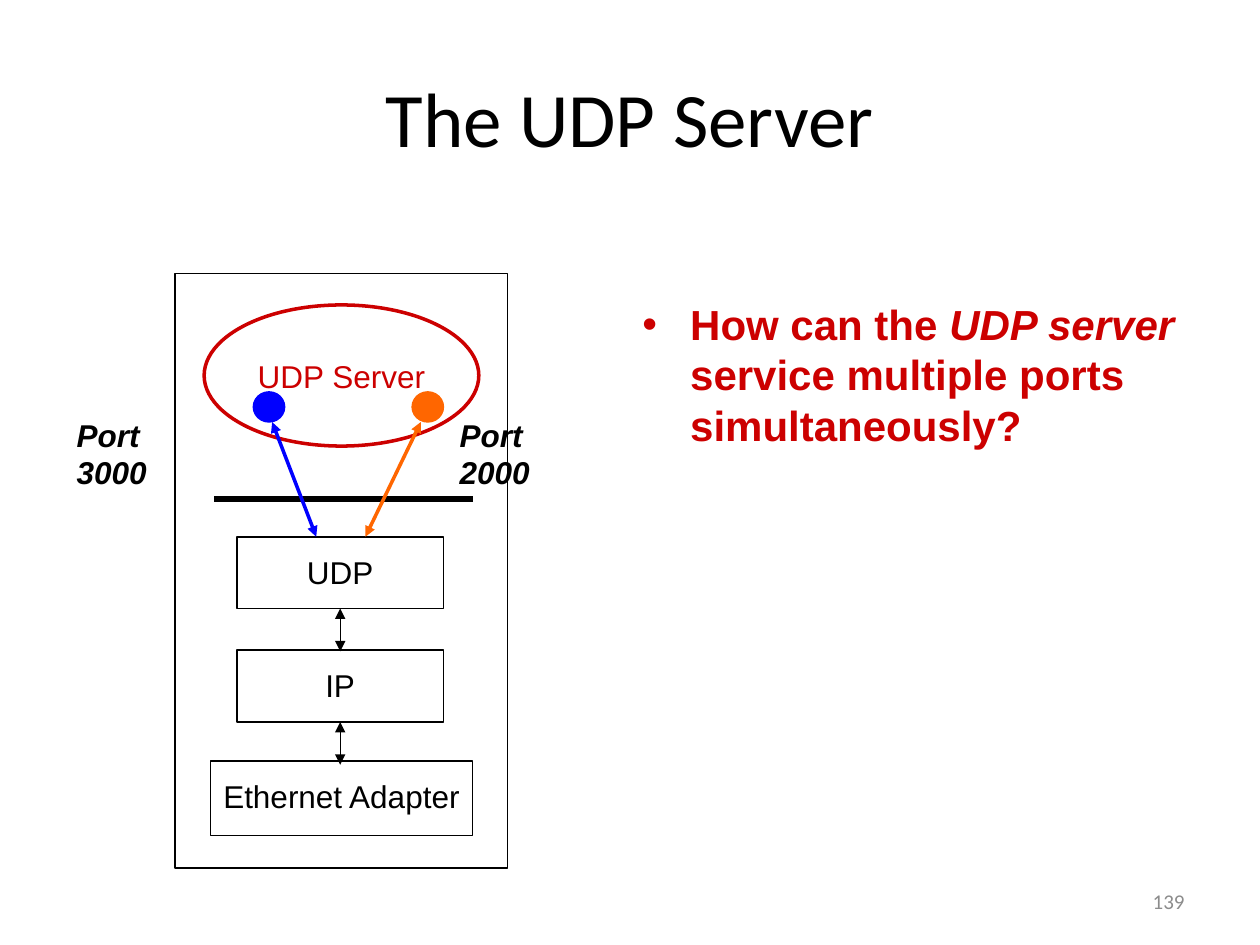
import pptx
import pptx.util
import pptx.dml.color
import pptx.enum.shapes
import pptx.enum.text
from lxml import etree

Inches, Pt = pptx.util.Inches, pptx.util.Pt
KINDS = pptx.enum.shapes.MSO_SHAPE
ALIGN = pptx.enum.text.PP_ALIGN
ANCHOR = pptx.enum.text.MSO_ANCHOR

COLORS = {"black": "000000", "red": "CC0000", "blue": "0000FF",
          "orange": "FF6600", "gray": "8C8C8C"}

# Content: places are left, top, width, height in inches
TITLE = ("The UDP Server", (0.5, 0.3, 9, 1.25))
PAGE_NUMBER = ("139", (7.17, 6.95, 2.33, 0.4))
QUESTION = [("How can the ", False), ("UDP server", True),
            (" service multiple ports simultaneously?", False)]
QUESTION_PLACE = (5, 2.32, 4.67, 4.51)
HOST = (1.39, 2.17, 2.64, 4.72)
SERVER = ("UDP Server", (1.62, 2.42, 2.18, 1.12))
CENTER = 2.7
LAYERS = [  # label, left, top, width, height
    ("UDP", 1.88, 4.26, 1.64, 0.57),
    ("IP", 1.88, 5.16, 1.64, 0.57),
    ("Ethernet Adapter", 1.67, 6.04, 2.08, 0.59),
]
LAYER_LINK = 0.34
BOUNDARY = (1.7, 3.96, 3.75, 3.96)
PORTS = [  # label, label left, color, socket left, arrow start x, arrow end x
    ("Port\v3000", 0.51, "blue", 2.01, 2.16, 2.51),
    ("Port\v2000", 3.55, "orange", 3.27, 3.34, 2.9),
]
SOCKET_TOP, SOCKET_SIZE = 3.11, (0.25, 0.24)
LABEL_TOP, LABEL_SIZE = 3.25, (1.32, 0.8)

deck = pptx.Presentation()
deck.slide_width, deck.slide_height = Inches(10), Inches(7.5)
slide = deck.slides.add_slide(deck.slide_layouts[6])


def rgb(color):
    return pptx.dml.color.RGBColor.from_string(COLORS[color])


def write(holder, runs, color, size, name="Arial", align=ALIGN.LEFT,
          anchor=ANCHOR.TOP, wrap=True, inset=(0.1, 0.05), **style):
    """Fill a text frame with (text, italic) runs and return its paragraph."""
    frame = holder.text_frame
    layout = {"word_wrap": wrap, "vertical_anchor": anchor,
              "margin_left": Inches(inset[0]), "margin_right": Inches(inset[0]),
              "margin_top": Inches(inset[1]), "margin_bottom": Inches(inset[1])}
    for key, value in layout.items():
        setattr(frame, key, value)
    paragraph = frame.paragraphs[0]
    paragraph.alignment = align
    for part, italic in runs:
        for index, line in enumerate(part.split("\v")):
            if index:
                paragraph.add_line_break()
            run = paragraph.add_run()
            run.text = line
            run.font.color.rgb = rgb(color)
            font = {"name": name, "size": Pt(size), "italic": italic, **style}
            for key, value in font.items():
                setattr(run.font, key, value)
    return paragraph


def text_box(place):
    return slide.shapes.add_textbox(*map(Inches, place))


def outline(kind, place, color, width, filled=False):
    shape = slide.shapes.add_shape(kind, *map(Inches, place))
    shape.shadow.inherit = False
    if filled:
        shape.fill.solid()
        shape.fill.fore_color.rgb = rgb(color)
    else:
        shape.fill.background()
    shape.line.color.rgb = rgb(color)
    shape.line.width = Pt(width)
    return shape


def connect(ends, color, width, arrows=True):
    link = slide.shapes.add_connector(
        pptx.enum.shapes.MSO_CONNECTOR.STRAIGHT, *map(Inches, ends))
    link.line.color.rgb = rgb(color)
    link.line.width = Pt(width)
    properties = link._element.spPr
    if arrows:
        for end in ("a:headEnd", "a:tailEnd"):
            tip = etree.SubElement(link.line._get_or_add_ln(), pptx.oxml.ns.qn(end))
            tip.set("type", "triangle")
    etree.SubElement(properties, pptx.oxml.ns.qn("a:effectLst"))


# Page number
write(text_box(PAGE_NUMBER[1]), [(PAGE_NUMBER[0], False)], "gray", 12, "Calibri",
      ALIGN.RIGHT, ANCHOR.MIDDLE)

# Protocol layers and the links between them
for label, *place in LAYERS:
    write(outline(KINDS.RECTANGLE, place, "black", 1), [(label, False)], "black", 18,
          align=ALIGN.CENTER, wrap=False, inset=(0.09, 0.13))
for label, left, top, width, height in LAYERS[:-1]:
    bottom = top + height
    connect((CENTER, bottom, CENTER, bottom + LAYER_LINK), "black", 0.75)

# Server process, boundary line and host frame
write(outline(KINDS.OVAL, SERVER[1], "red", 2), [(SERVER[0], False)], "red", 18,
      align=ALIGN.CENTER, anchor=ANCHOR.MIDDLE, wrap=False)
connect(BOUNDARY, "black", 3, arrows=False)
outline(KINDS.RECTANGLE, HOST, "black", 0.75)

# Ports: socket, arrow to UDP, label
for label, label_left, color, socket_left, start, end in PORTS:
    outline(KINDS.OVAL, (socket_left, SOCKET_TOP, *SOCKET_SIZE), color, 0.75, True)
    connect((start, SOCKET_TOP + SOCKET_SIZE[1], end, LAYERS[0][2]), color, 2)
    write(text_box((label_left, LABEL_TOP, *LABEL_SIZE)), [(label, True)],
          "black", 18, bold=True)

# Title
write(text_box(TITLE[1]), [(TITLE[0], False)], "black", 44, "Calibri",
      ALIGN.CENTER, ANCHOR.MIDDLE)

# Question with a bullet
question = write(text_box(QUESTION_PLACE), QUESTION, "red", 24, bold=True)
question.space_before = Pt(4.8)
bullet_format = question._p.get_or_add_pPr()
for key, indent in {"marL": 0.38, "indent": -0.38}.items():
    bullet_format.set(key, str(Inches(indent)))
for tag, key, value in [("a:buFont", "typeface", "Arial"), ("a:buChar", "char", "•")]:
    etree.SubElement(bullet_format, pptx.oxml.ns.qn(tag)).set(key, value)

deck.save("out.pptx")
